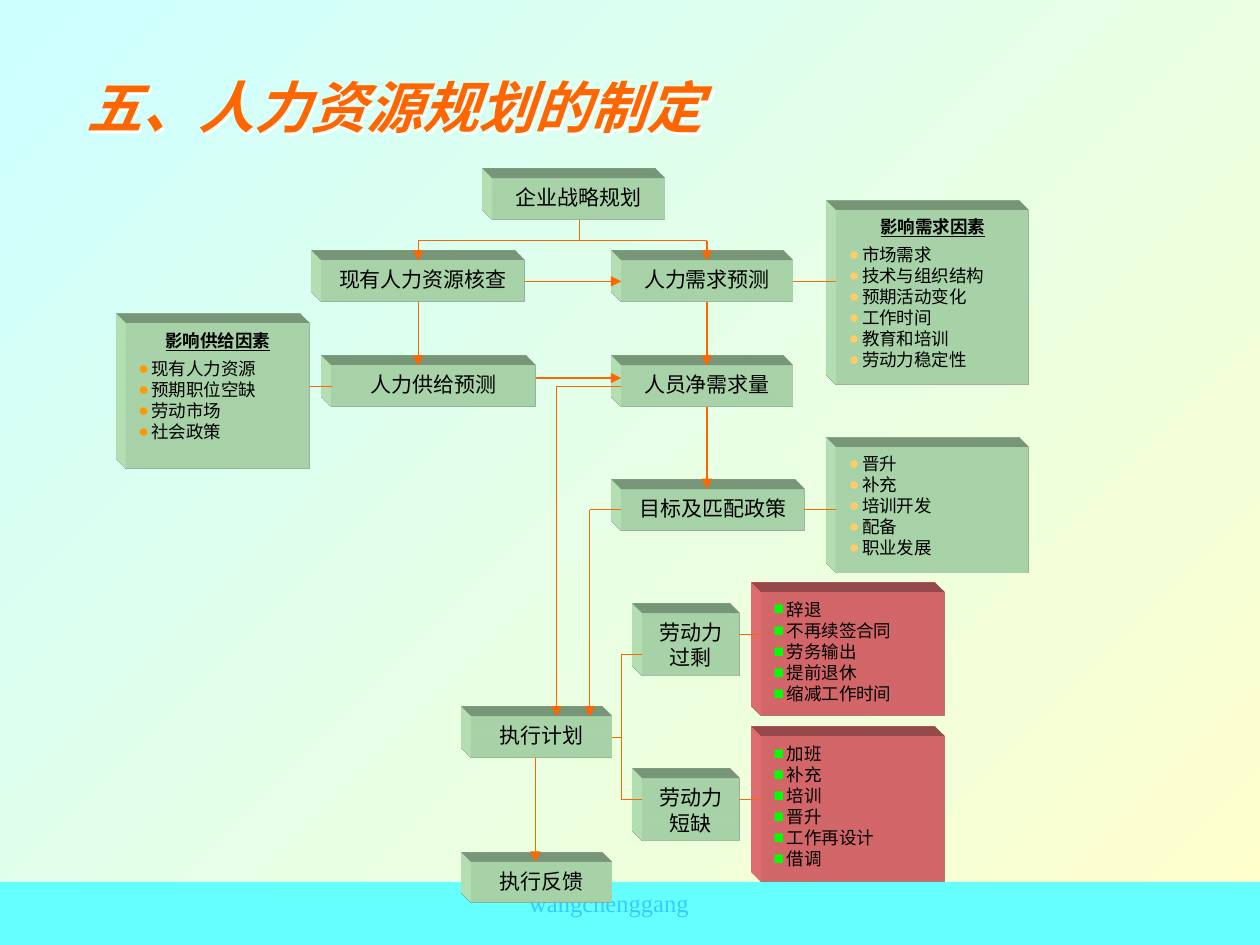
from dataclasses import dataclass

from lxml import etree
from pptx import Presentation
from pptx.dml.color import RGBColor
from pptx.enum.shapes import MSO_CONNECTOR as Connector
from pptx.enum.shapes import MSO_SHAPE as Shape
from pptx.enum.text import MSO_ANCHOR as Anchor
from pptx.enum.text import PP_ALIGN as Align
from pptx.oxml import parse_xml
from pptx.oxml.ns import nsdecls, qn
from pptx.util import Pt


@dataclass(frozen=True)
class Theme:
    font: str = "Times New Roman"
    ink: str = "000000"
    accent: str = "FF6600"
    green: str = "CCFFCC"
    red: str = "FF7C80"
    band: str = "66FFFF"
    footer: str = "33CCFF"
    white: str = "FFFFFF"
    sky: str = "CCFFFF"
    cream: str = "FFFFCC"
    gold: str = "FFCC66"
    orange: str = "FF9900"
    lime: str = "00FF00"
    title_size: float = 32
    footer_size: float = 14
    node_size: float = 12
    item_size: float = 10
    line_width: float = 0.75


THEME = Theme()


@dataclass(frozen=True)
class Box:
    left: float
    top: float
    width: float
    height: float

    @property
    def right(self):
        return self.left + self.width

    @property
    def bottom(self):
        return self.top + self.height

    @property
    def center(self):
        return self.left + self.width / 2

    @property
    def middle(self):
        return self.top + self.height / 2

    def inner(self, left, top, width, height):
        return Box(self.left + left, self.top + top, width, height)

    def lengths(self):
        return [Pt(value) for value in (self.left, self.top, self.width, self.height)]


def write(paragraph, text, size=THEME.node_size, color=THEME.ink, align=Align.CENTER,
          bold=False, italic=False, underline=False, after=0):
    paragraph.alignment = align
    paragraph.space_before = Pt(0)
    paragraph.space_after = Pt(after)
    run = paragraph.add_run()
    run.text = text
    font = run.font
    font.name, font.size = THEME.font, Pt(size)
    font.bold, font.italic, font.underline = bold, italic, underline
    font.color.rgb = RGBColor.from_string(color)


def add_bullet(paragraph, symbol, color, indent=7.5):
    properties = paragraph._p.get_or_add_pPr()
    properties.set("marL", str(Pt(indent)))
    properties.set("indent", str(-Pt(indent)))
    bullet_color = etree.SubElement(properties, qn("a:buClr"))
    etree.SubElement(bullet_color, qn("a:srgbClr"), val=color)
    etree.SubElement(properties, qn("a:buFont"), typeface=THEME.font)
    etree.SubElement(properties, qn("a:buChar"), char=symbol)


def add_rectangle(slide, box, color):
    shape = slide.shapes.add_shape(Shape.RECTANGLE, *box.lengths())
    shape.shadow.inherit = False
    shape.fill.solid()
    shape.fill.fore_color.rgb = RGBColor.from_string(color)
    shape.line.fill.background()
    shape.text_frame.word_wrap = True
    shape.text_frame.vertical_anchor = Anchor.TOP
    return shape


def add_block(slide, box, color=THEME.green):
    shape = add_rectangle(slide, box, color)
    namespace = nsdecls("a")
    shape._element.spPr.append(parse_xml(
        f'<a:scene3d {namespace}><a:camera prst="legacyObliqueTopLeft"/>'
        '<a:lightRig rig="legacyFlat3" dir="b"/></a:scene3d>'))
    shape._element.spPr.append(parse_xml(
        f'<a:sp3d {namespace} extrusionH="201600" prstMaterial="legacyMatte">'
        f'<a:extrusionClr><a:srgbClr val="{color}"/></a:extrusionClr></a:sp3d>'))
    return shape


def add_node(slide, box, text):
    write(add_block(slide, box).text_frame.paragraphs[0], text)
    return box


def add_panel(slide, box, items, heading=None, color=THEME.green, symbol="●",
              bullet_color=THEME.gold):
    frame = add_block(slide, box, color).text_frame
    paragraph = frame.paragraphs[0]
    if heading:
        write(paragraph, heading, size=THEME.item_size, bold=True, underline=True, after=4)
        paragraph = frame.add_paragraph()
    for index, item in enumerate(items):
        if index:
            paragraph = frame.add_paragraph()
        write(paragraph, item, size=THEME.item_size, align=Align.JUSTIFY)
        add_bullet(paragraph, symbol, bullet_color)
    return box


def add_line(slide, x1, y1, x2, y2, arrow=False):
    line = slide.shapes.add_connector(Connector.STRAIGHT, Pt(x1), Pt(y1), Pt(x2), Pt(y2))
    line.line.color.rgb = RGBColor.from_string(THEME.accent)
    line.line.width = Pt(THEME.line_width)
    if arrow:
        etree.SubElement(line.line._get_or_add_ln(), qn("a:tailEnd"), type="triangle")
    etree.SubElement(line._element.spPr, qn("a:effectLst"))


def draw_backdrop(slide, box):
    fill = slide.background.fill
    fill.gradient()
    fill.gradient_angle = 315
    for stop, color in zip(fill.gradient_stops, (THEME.sky, THEME.cream)):
        stop.color.rgb = RGBColor.from_string(color)
    add_rectangle(slide, box.inner(0, 504, box.width, 36), THEME.band)
    footer = slide.shapes.add_textbox(*box.inner(234, 504, 228, 24).lengths())
    footer.text_frame.word_wrap = True
    write(footer.text_frame.paragraphs[0], "wangchenggang",
          size=THEME.footer_size, color=THEME.footer)


def draw_title(slide, box, text):
    title = slide.shapes.title
    title.left, title.top, title.width, title.height = box.lengths()
    title.text_frame.vertical_anchor = Anchor.MIDDLE
    write(title.text_frame.paragraphs[0], text, size=THEME.title_size,
          color=THEME.accent, align=Align.LEFT, bold=True, italic=True)
    title._element.spPr.append(parse_xml(
        f'<a:effectLst {nsdecls("a")}><a:outerShdw dist="28400" dir="2700000">'
        f'<a:srgbClr val="{THEME.white}"/></a:outerShdw></a:effectLst>'))


def draw_flow(slide, box):
    layout = {
        "企业战略规划": (98, 0, 98),
        "现有人力资源核查": (0, 47, 116.5),
        "人力需求预测": (171.5, 47, 98),
        "人力供给预测": (6, 107, 116.5),
        "人员净需求量": (171.5, 107, 98),
        "目标及匹配政策": (171.5, 177.5, 104.5),
        "执行计划": (86, 307.5, 80),
        "执行反馈": (86, 390.5, 80),
    }
    nodes = [add_node(slide, box.inner(left, top, width, 23.5), text)
             for text, (left, top, width) in layout.items()]
    strategy, audit, demand, supply, net, policy, plan, feedback = nodes
    supply_axis, demand_axis = box.left + 55.5, demand.center
    fork = box.top + 35.5
    add_line(slide, supply_axis, fork, demand_axis, fork)
    add_line(slide, strategy.center + 0.5, strategy.bottom, strategy.center + 0.5, fork)
    for axis, start, end in (
        (supply_axis, fork, audit.top), (demand_axis, fork, demand.top),
        (supply_axis, audit.bottom, supply.top), (demand_axis, demand.bottom, net.top),
        (demand_axis, net.bottom, policy.top),
        (box.left + 122.5, plan.bottom, feedback.top),
    ):
        add_line(slide, axis, start, axis, end, arrow=True)
    for source, target, y in ((audit, demand, audit.middle), (supply, net, supply.top + 7)):
        add_line(slide, source.right, y, target.left, y, arrow=True)
    for source, x in ((net, box.left + 134.5), (policy, box.left + 153.5)):
        add_line(slide, source.left, source.middle, x, source.middle)
        add_line(slide, x, source.middle, x, plan.top, arrow=True)
    return demand, supply, policy, plan


def draw_factors(slide, box, demand, supply, policy):
    demand_panel = add_panel(
        slide, box.inner(406, 0, 110, 100),
        ["市场需求", "技术与组织结构", "预期活动变化", "工作时间", "教育和培训", "劳动力稳定性"],
        heading="影响需求因素")
    policy_panel = add_panel(
        slide, box.inner(406, 135.5, 110, 71.5),
        ["晋升", "补充", "培训开发", "配备", "职业发展"])
    supply_panel = add_panel(
        slide, box.inner(0, 65, 105, 83),
        ["现有人力资源", "预期职位空缺", "劳动市场", "社会政策"],
        heading="影响供给因素", bullet_color=THEME.orange)
    for left, right, y in (
        (demand, demand_panel, demand.middle), (policy, policy_panel, policy.middle),
        (supply_panel, supply, supply.middle),
    ):
        add_line(slide, left.right, y, right.left, y)


def draw_responses(slide, box, plan):
    surplus = add_node(slide, box.inner(0, 12, 55.5, 35.5), "劳动力过剩")
    shortage = add_node(slide, box.inner(0, 106.5, 55.5, 35.5), "劳动力短缺")
    style = {"color": THEME.red, "symbol": "■", "bullet_color": THEME.lime}
    panels = [
        add_panel(slide, box.inner(68, 0, 105, 70.5),
                  ["辞退", "不再续签合同", "劳务输出", "提前退休", "缩减工作时间"], **style),
        add_panel(slide, box.inner(68, 82.5, 105, 83),
                  ["加班", "补充", "培训", "晋升", "工作再设计", "借调"], **style),
    ]
    trunk = box.left - 12
    branches = (surplus.bottom - 12, shortage.top + 12)
    add_line(slide, trunk, branches[0], trunk, branches[1])
    add_line(slide, plan.right, plan.middle, trunk, plan.middle)
    for y in branches:
        add_line(slide, trunk, y, box.left, y)
    for node, panel in zip((surplus, shortage), panels):
        y = node.top + 12
        add_line(slide, node.right, y, panel.left, y)


def main():
    presentation = Presentation()
    presentation.slide_width, presentation.slide_height = Pt(720), Pt(540)
    slide = presentation.slides.add_slide(presentation.slide_layouts[5])
    draw_backdrop(slide, Box(0, 0, 720, 540))
    draw_title(slide, Box(42, 38, 432, 45.5), "五、人力资源规划的制定")
    demand, supply, policy, plan = draw_flow(slide, Box(183.5, 102, 276, 414))
    draw_factors(slide, Box(72, 120, 516, 207), demand, supply, policy)
    draw_responses(slide, Box(367, 338.5, 173, 165.5), plan)
    presentation.save("out.pptx")


if __name__ == "__main__":
    main()
